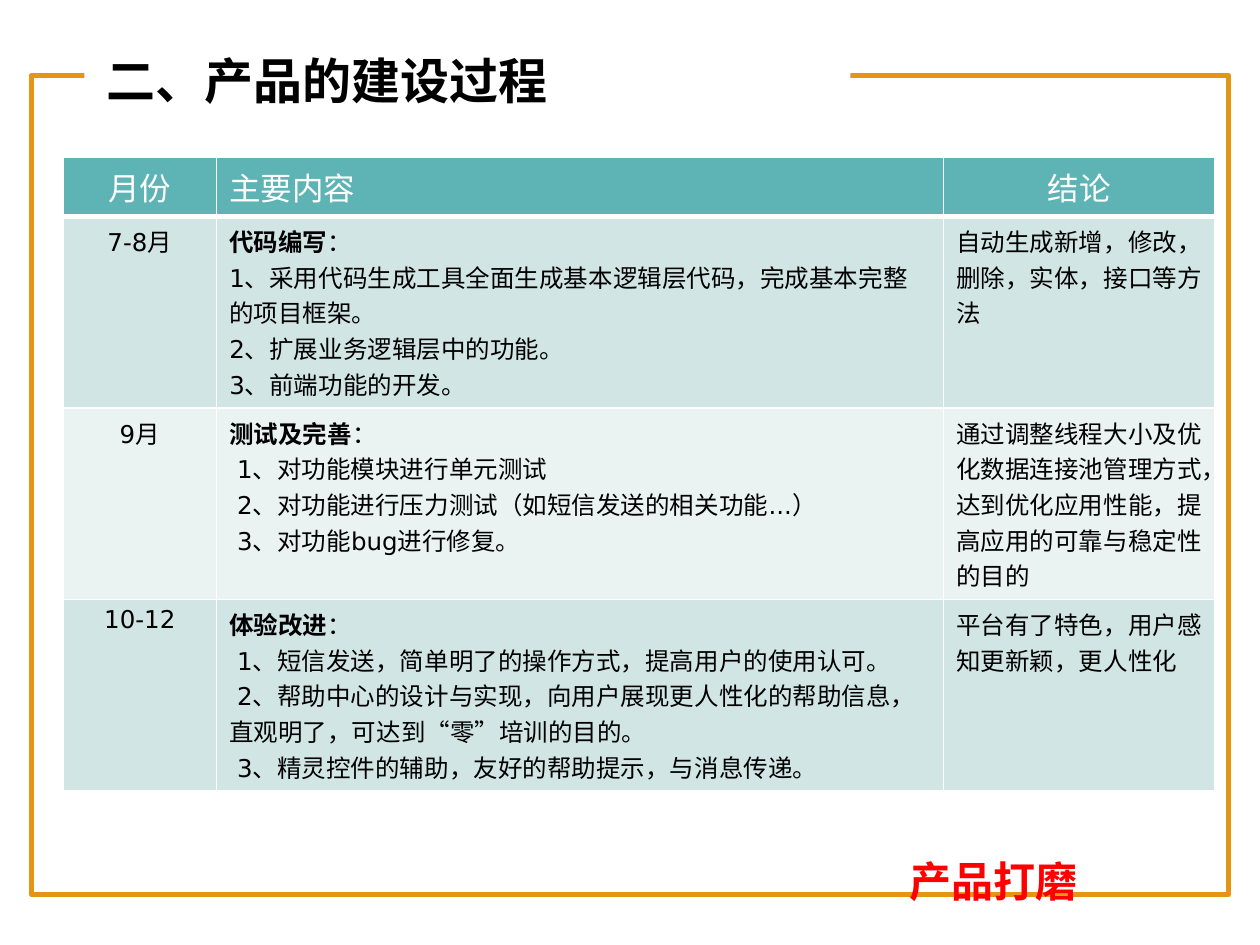
from lxml import etree
from pptx import Presentation
from pptx import util as u
from pptx.dml.color import RGBColor
from pptx.enum import shapes, text
from pptx.oxml.ns import qn

PX = 9144  # 100 px to the inch
FONT = "DejaVu Sans"
WHITE = RGBColor(0xFF, 0xFF, 0xFF)
BLACK = RGBColor(0, 0, 0)
RED = RGBColor(0xFF, 0, 0)
ORANGE = RGBColor(0xE4, 0x95, 0x14)
TEAL = RGBColor(0x5E, 0xB4, 0xB4)
BAND_DARK = RGBColor(0xD2, 0xE5, 0xE5)
BAND_LIGHT = RGBColor(0xEA, 0xF2, 0xF2)


def add_span(para, words, size, color, bold=False):
    span = para.add_run()
    span.text = words
    span.font.name = FONT
    span.font.size = u.Pt(size)
    span.font.bold = bold
    span.font.color.rgb = color


def add_borders(cell, widths):
    """Give the cell white borders; widths are points for left, right, top, bottom."""
    properties = cell._tc.get_or_add_tcPr()
    for index, (side, width) in enumerate(zip("LRTB", widths)):
        line = etree.Element(qn(f"a:ln{side}"), w=str(u.Pt(width)))
        fill = etree.SubElement(line, qn("a:solidFill"))
        etree.SubElement(fill, qn("a:srgbClr"), val=str(WHITE))
        properties.insert(index, line)


deck = Presentation()
deck.slide_width, deck.slide_height = 1000 * PX, 750 * PX
page = deck.slides.add_slide(deck.slide_layouts[6])

# Orange frame, with a white gap behind the title
frame = page.shapes.add_shape(
    shapes.MSO_SHAPE.RECTANGLE, 25 * PX, 60 * PX, 950 * PX, 650 * PX)
frame.shadow.inherit = False
frame.fill.background()
frame.line.color.rgb = ORANGE
frame.line.width = u.Pt(3)

title_gap = page.shapes.add_shape(
    shapes.MSO_SHAPE.RECTANGLE, 67 * PX, 17 * PX, 608 * PX, 119 * PX)
title_gap.shadow.inherit = False
title_gap.fill.solid()
title_gap.fill.fore_color.rgb = WHITE
title_gap.line.fill.background()

# Each cell is a list of paragraphs; in the middle column the first one is a heading
rows = [
    (["月份"], ["主要内容"], ["结论"]),
    (["7-8月"],
     ["代码编写",
      "1、采用代码生成工具全面生成基本逻辑层代码，完成基本完整的项目框架。",
      "2、扩展业务逻辑层中的功能。",
      "3、前端功能的开发。"],
     ["自动生成新增，修改，删除，实体，接口等方法"]),
    (["9月"],
     ["测试及完善",
      " 1、对功能模块进行单元测试",
      " 2、对功能进行压力测试（如短信发送的相关功能...）",
      " 3、对功能bug进行修复。"],
     ["通过调整线程大小及优化数据连接池管理方式，达到优化应用性能，提高应用的可靠与稳定性的目的"]),
    (["10-12"],
     ["体验改进",
      " 1、短信发送，简单明了的操作方式，提高用户的使用认可。",
      " 2、帮助中心的设计与实现，向用户展现更人性化的帮助信息，直观明了，可达到“零”培训的目的。",
      " 3、精灵控件的辅助，友好的帮助提示，与消息传递。"],
     ["平台有了特色，用户感知更新颖，更人性化"]),
]
column_widths = [122, 577, 215]
row_heights = [47, 152, 152, 152]

table = page.shapes.add_table(
    len(rows), len(column_widths), 50 * PX, 125 * PX,
    sum(column_widths) * PX, sum(row_heights) * PX).table
for column, width in zip(table.columns, column_widths):
    column.width = width * PX
for row, height in zip(table.rows, row_heights):
    row.height = height * PX

for r, row in enumerate(rows):
    header = r == 0
    band = TEAL if header else (BAND_DARK if r % 2 else BAND_LIGHT)
    size, color = (18, WHITE) if header else (14, BLACK)
    for c, lines in enumerate(row):
        cell = table.cell(r, c)
        cell.fill.solid()
        cell.fill.fore_color.rgb = band
        add_borders(cell, (1, 1, 1, 3 if header else 1))
        for i, line in enumerate(lines):
            para = cell.text_frame.paragraphs[0] if i == 0 else cell.text_frame.add_paragraph()
            if c == 0 or (header and c == 2):
                para.alignment = text.PP_ALIGN.CENTER
            heading = not header and c == 1 and i == 0
            add_span(para, line, size, color, heading)
            if heading:
                add_span(para, "：", size, color)

# Title and closing remark
captions = [
    ("二、产品的建设过程", (75, 32, 508, 62), 28, BLACK, text.PP_ALIGN.LEFT),
    ("产品打磨", (648, 672, 281, 54), 24, RED, text.PP_ALIGN.CENTER),
]
for words, place, size, color, alignment in captions:
    box = page.shapes.add_textbox(*(length * PX for length in place))
    box.text_frame.word_wrap = True
    box.text_frame.vertical_anchor = text.MSO_ANCHOR.MIDDLE
    para = box.text_frame.paragraphs[0]
    para.alignment = alignment
    add_span(para, words, size, color, True)

deck.save("out.pptx")
